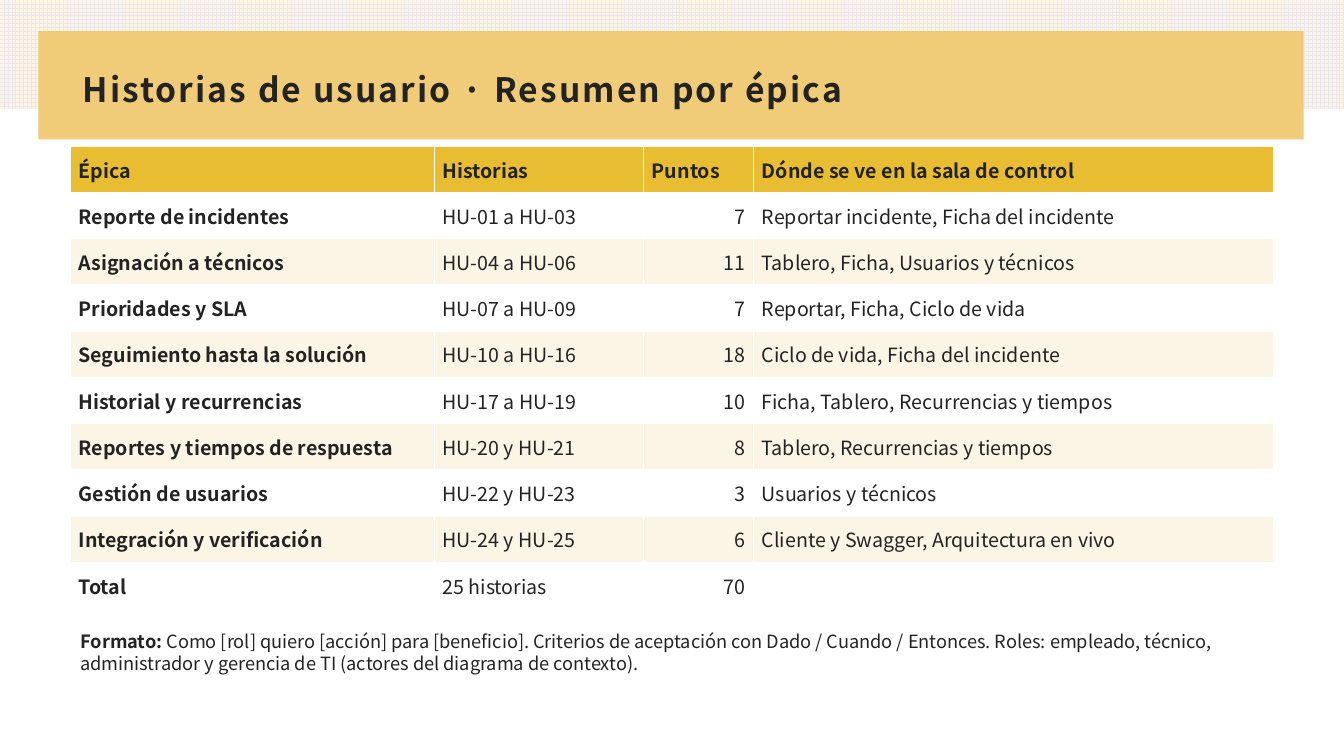
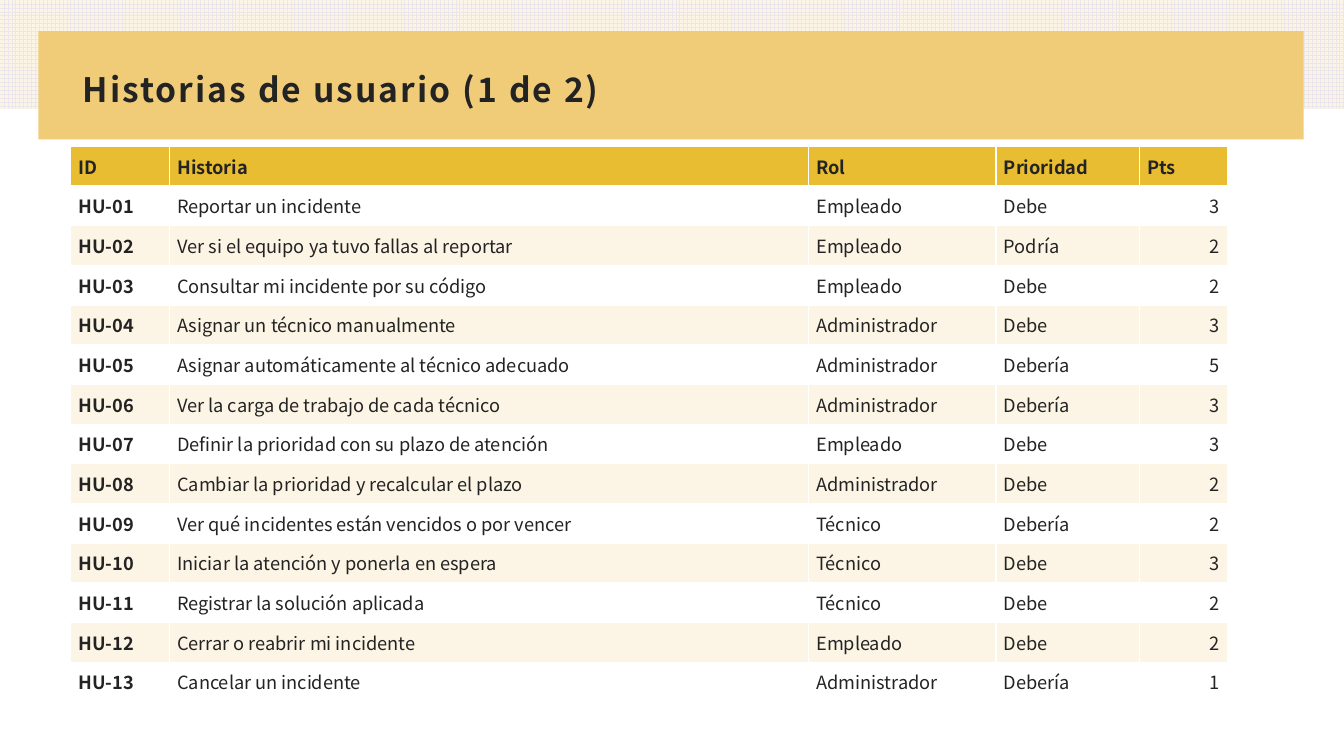
from dataclasses import dataclass
from typing import NamedTuple

from pptx import Presentation
from pptx.dml.color import RGBColor
from pptx.dml.fill import FillFormat
from pptx.enum.dml import MSO_PATTERN
from pptx.enum.shapes import MSO_SHAPE
from pptx.enum.text import MSO_ANCHOR, MSO_AUTO_SIZE, PP_ALIGN
from pptx.shapes.autoshape import Shape
from pptx.slide import Slide
from pptx.table import _Cell
from pptx.text.text import _Paragraph, _Run
from pptx.util import Pt


@dataclass(frozen=True)
class Theme:
    font: str = "Noto Sans CJK JP"
    ink: str = "232323"
    paper: str = "FFFFFF"
    cream: str = "FCF5E5"
    mesh: str = "EBE6EB"
    band: str = "F0CC79"
    head: str = "E8BD32"
    title: float = 24
    note: float = 13
    track: float = 1.5


class Box(NamedTuple):
    left: float
    top: float
    width: float
    height: float


class Span(NamedTuple):
    text: str
    bold: bool = False


class Column(NamedTuple):
    head: str
    width: float
    right: bool = False


@dataclass(frozen=True)
class Grid:
    columns: tuple[Column, ...]
    rows: tuple[tuple[str, ...], ...]
    height: float
    size: float


@dataclass(frozen=True)
class Page:
    title: str
    grid: Grid
    note: tuple[Span, ...] = ()


THEME = Theme()
LEFT, WIDTH = 50.4, 859
STRIP = Box(0, 0, 960, 77.75)
BAND = Box(27.5, 22.25, 903.75, 77.25)
TITLE = Box(LEFT, 37.5, WIDTH, 54)
NOTE = Box(LEFT, 447, WIDTH, 47.5)
GRID_TOP = 104.5

EPICS = Grid(
    columns=(
        Column("Épica", 260),
        Column("Historias", 149.5),
        Column("Puntos", 78.5, right=True),
        Column("Dónde se ve en la sala de control", 371),
    ),
    rows=(
        ("Reporte de incidentes", "HU-01 a HU-03", "7", "Reportar incidente, Ficha del incidente"),
        ("Asignación a técnicos", "HU-04 a HU-06", "11", "Tablero, Ficha, Usuarios y técnicos"),
        ("Prioridades y SLA", "HU-07 a HU-09", "7", "Reportar, Ficha, Ciclo de vida"),
        ("Seguimiento hasta la solución", "HU-10 a HU-16", "18", "Ciclo de vida, Ficha del incidente"),
        ("Historial y recurrencias", "HU-17 a HU-19", "10", "Ficha, Tablero, Recurrencias y tiempos"),
        ("Reportes y tiempos de respuesta", "HU-20 y HU-21", "8", "Tablero, Recurrencias y tiempos"),
        ("Gestión de usuarios", "HU-22 y HU-23", "3", "Usuarios y técnicos"),
        ("Integración y verificación", "HU-24 y HU-25", "6", "Cliente y Swagger, Arquitectura en vivo"),
        ("Total", "25 historias", "70", ""),
    ),
    height=33.05,
    size=14,
)

STORIES = Grid(
    columns=(
        Column("ID", 70.5),
        Column("Historia", 456.5),
        Column("Rol", 134),
        Column("Prioridad", 102.5),
        Column("Pts", 63, right=True),
    ),
    rows=(
        ("HU-01", "Reportar un incidente", "Empleado", "Debe", "3"),
        ("HU-02", "Ver si el equipo ya tuvo fallas al reportar", "Empleado", "Podría", "2"),
        ("HU-03", "Consultar mi incidente por su código", "Empleado", "Debe", "2"),
        ("HU-04", "Asignar un técnico manualmente", "Administrador", "Debe", "3"),
        ("HU-05", "Asignar automáticamente al técnico adecuado", "Administrador", "Debería", "5"),
        ("HU-06", "Ver la carga de trabajo de cada técnico", "Administrador", "Debería", "3"),
        ("HU-07", "Definir la prioridad con su plazo de atención", "Empleado", "Debe", "3"),
        ("HU-08", "Cambiar la prioridad y recalcular el plazo", "Administrador", "Debe", "2"),
        ("HU-09", "Ver qué incidentes están vencidos o por vencer", "Técnico", "Debería", "2"),
        ("HU-10", "Iniciar la atención y ponerla en espera", "Técnico", "Debe", "3"),
        ("HU-11", "Registrar la solución aplicada", "Técnico", "Debe", "2"),
        ("HU-12", "Cerrar o reabrir mi incidente", "Empleado", "Debe", "2"),
        ("HU-13", "Cancelar un incidente", "Administrador", "Debería", "1"),
    ),
    height=28.35,
    size=13,
)

PAGES = (
    Page(
        "Historias de usuario · Resumen por épica",
        EPICS,
        (
            Span("Formato: ", bold=True),
            Span(
                "Como [rol] quiero [acción] para [beneficio]. Criterios de aceptación con "
                "Dado / Cuando / Entonces. Roles: empleado, técnico, administrador y gerencia "
                "de TI (actores del diagrama de contexto)."
            ),
        ),
    ),
    Page("Historias de usuario (1 de 2)", STORIES),
)


def paint(fill: FillFormat, color: str) -> None:
    fill.solid()
    fill.fore_color.rgb = RGBColor.from_string(color)


def add_run(para: _Paragraph, span: Span, size: float) -> _Run:
    run = para.add_run()
    run.text = span.text
    run.font.name = THEME.font
    run.font.size = Pt(size)
    run.font.bold = span.bold
    run.font.color.rgb = RGBColor.from_string(THEME.ink)
    return run


def add_rect(slide: Slide, box: Box) -> Shape:
    rect = slide.shapes.add_shape(MSO_SHAPE.RECTANGLE, *map(Pt, box))
    rect.shadow.inherit = False
    rect.line.fill.background()
    return rect


def add_bands(slide: Slide) -> None:
    fill = add_rect(slide, STRIP).fill
    fill.patterned()
    fill.pattern = MSO_PATTERN.LARGE_GRID
    fill.fore_color.rgb = RGBColor.from_string(THEME.mesh)
    fill.back_color.rgb = RGBColor.from_string(THEME.cream)
    paint(add_rect(slide, BAND).fill, THEME.band)


def add_title(slide: Slide, text: str) -> None:
    frame = slide.shapes.add_textbox(*map(Pt, TITLE)).text_frame
    frame.word_wrap = True
    frame.vertical_anchor = MSO_ANCHOR.MIDDLE
    frame.margin_left = frame.margin_right = frame.margin_top = Pt(8.6)
    frame.margin_bottom = Pt(7.2)
    para = frame.paragraphs[0]
    para.line_spacing = 0.9
    run = add_run(para, Span(text, bold=True), THEME.title)
    run.font._element.set("spc", str(int(THEME.track * 100)))


def fill_cell(cell: _Cell, span: Span, size: float, color: str, right: bool) -> None:
    paint(cell.fill, color)
    cell.vertical_anchor = MSO_ANCHOR.MIDDLE
    cell.margin_left = cell.margin_right = Pt(5.75)
    cell.margin_top = cell.margin_bottom = Pt(2.15)
    if span.text:
        para = cell.text_frame.paragraphs[0]
        if right:
            para.alignment = PP_ALIGN.RIGHT
        add_run(para, span, size)


def add_grid(slide: Slide, grid: Grid) -> None:
    lines = (tuple(col.head for col in grid.columns), *grid.rows)
    box = Box(LEFT, GRID_TOP, sum(col.width for col in grid.columns), grid.height * len(lines))
    table = slide.shapes.add_table(len(lines), len(grid.columns), *map(Pt, box)).table
    for slot, col in zip(table.columns, grid.columns):
        slot.width = Pt(col.width)
    for r, line in enumerate(lines):
        table.rows[r].height = Pt(grid.height)
        head = r == 0
        color = THEME.head if head else THEME.paper if r % 2 else THEME.cream
        for c, text in enumerate(line):
            span = Span(text, bold=head or c == 0)
            right = grid.columns[c].right and not head
            fill_cell(table.cell(r, c), span, grid.size, color, right)


def add_note(slide: Slide, spans: tuple[Span, ...]) -> None:
    frame = slide.shapes.add_textbox(*map(Pt, NOTE)).text_frame
    frame.word_wrap = True
    frame.auto_size = MSO_AUTO_SIZE.SHAPE_TO_FIT_TEXT
    para = frame.paragraphs[0]
    para.space_after = Pt(6)
    for span in spans:
        add_run(para, span, THEME.note)


def main() -> None:
    deck = Presentation()
    deck.slide_width, deck.slide_height = Pt(960), Pt(540)
    for page in PAGES:
        slide = deck.slides.add_slide(deck.slide_layouts[6])
        paint(slide.background.fill, THEME.paper)
        add_bands(slide)
        add_title(slide, page.title)
        add_grid(slide, page.grid)
        if page.note:
            add_note(slide, page.note)
    deck.save("out.pptx")


if __name__ == "__main__":
    main()
